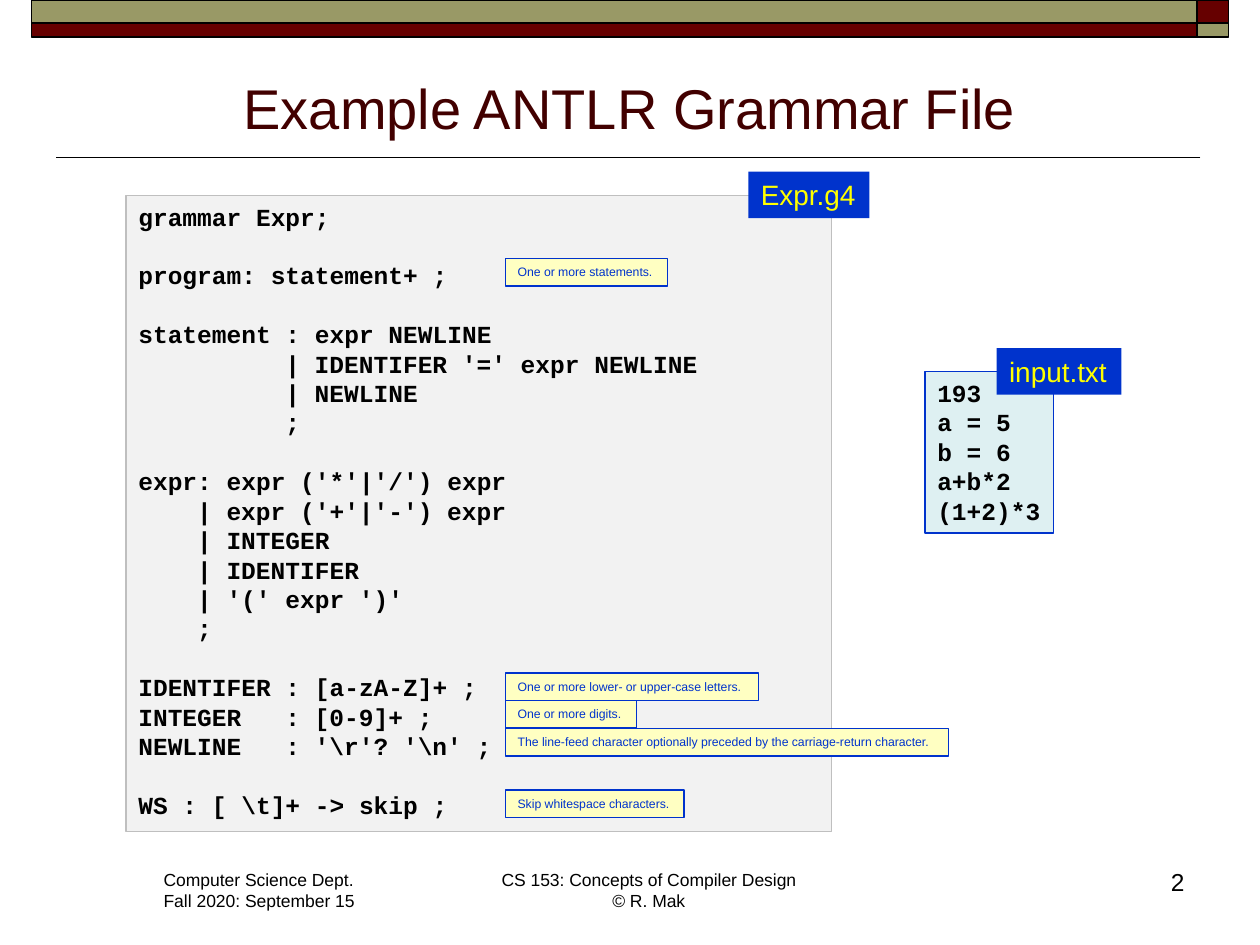
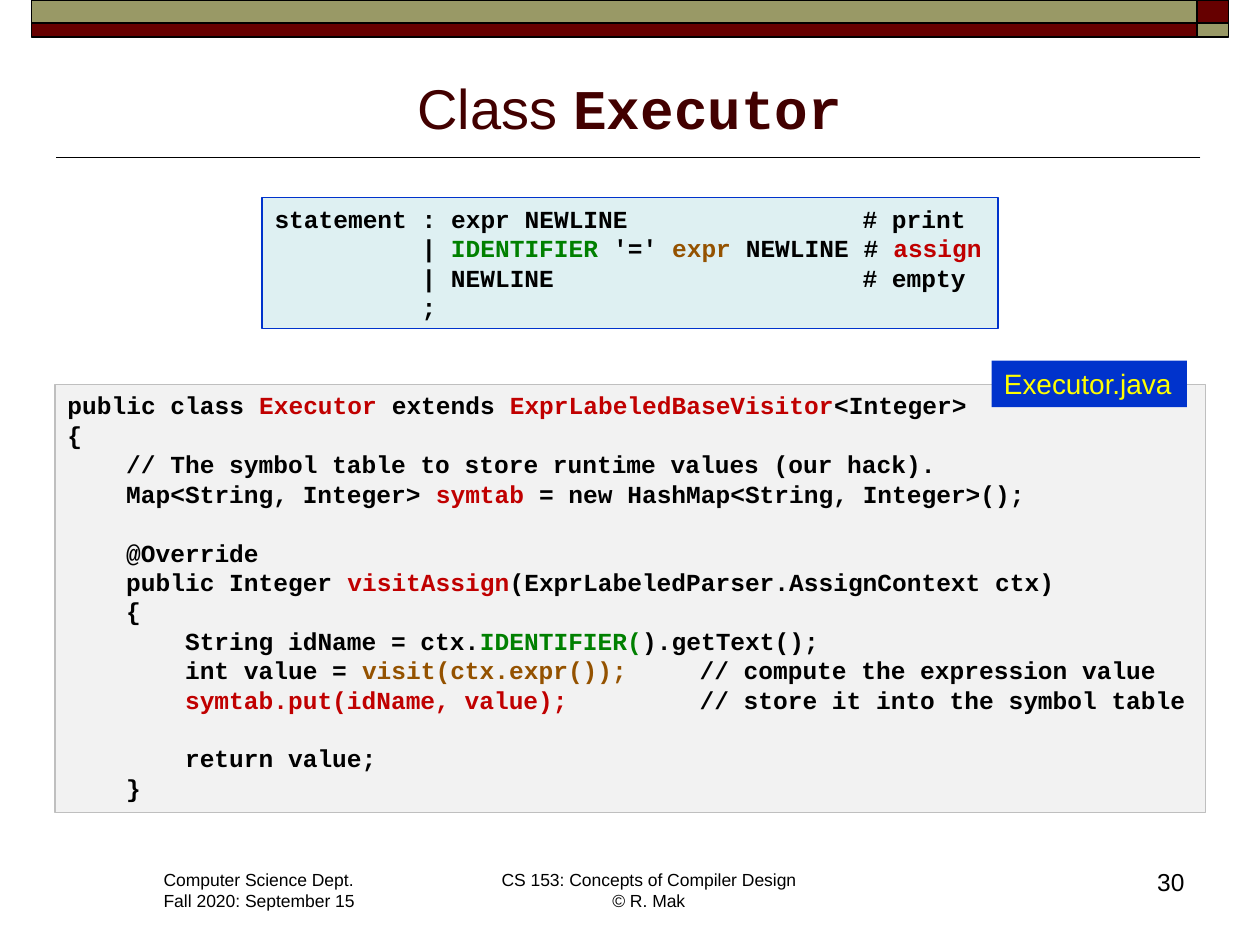
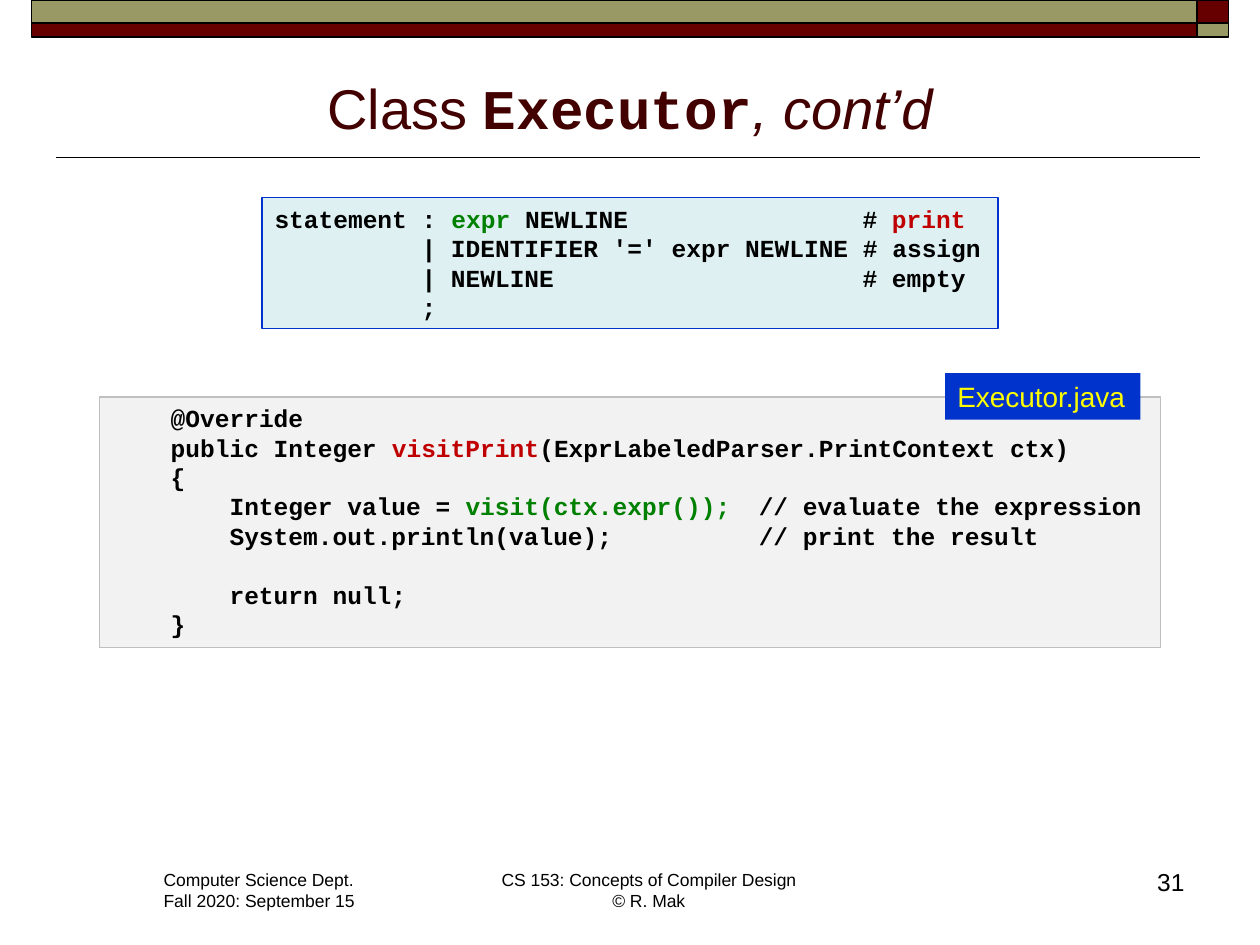
from dataclasses import dataclass
from itertools import groupby

from lxml.etree import SubElement
from pptx import Presentation
from pptx.dml.color import RGBColor
from pptx.enum.shapes import MSO_CONNECTOR, MSO_SHAPE
from pptx.enum.text import MSO_ANCHOR, MSO_AUTO_SIZE, PP_ALIGN
from pptx.oxml.ns import qn
from pptx.util import Pt


@dataclass(frozen=True)
class Style:
    size: float
    color: str
    font: str = "Arial"
    bold: bool = False
    fill: str = ""
    line: str = ""


class Theme:
    black = "000000"
    maroon = "660000"
    olive = "999966"
    sans = "Arial"
    mono = "Courier New"
    pitch = 1.2
    advance = 0.6
    title = Style(32, "420000")
    foot = Style(10, black)
    number = Style(14, black)
    code = Style(14, black, mono, True, "F2F2F2", "BFBFBF")
    rule = Style(14, black, mono, True, "DEF0F2", "0033CC")
    tag = Style(16, "FFFF00", fill="0033CC")
    note = Style(7, "0033CC", fill="FFFFC2", line="0033CC")
    marks = {"r": "C00000", "g": "008000", "b": "945200"}


GRAMMAR = r"""grammar Expr;

program: statement+ ;

statement : expr NEWLINE
          | IDENTIFER '=' expr NEWLINE
          | NEWLINE
          ;

expr: expr ('*'|'/') expr
    | expr ('+'|'-') expr
    | INTEGER
    | IDENTIFER
    | '(' expr ')'
    ;

IDENTIFER : [a-zA-Z]+ ;
INTEGER   : [0-9]+ ;
NEWLINE   : '\r'? '\n' ;

WS : [ \t]+ -> skip ;"""

INPUT = """193
a = 5
b = 6
a+b*2
(1+2)*3"""

ASSIGN_RULE = """statement : expr NEWLINE                # print
          | ~gIDENTIFIER~ '=' ~bexpr~ NEWLINE # ~rassign~
          | NEWLINE                     # empty
          ;"""

PRINT_RULE = """statement : ~gexpr~ NEWLINE                # ~rprint~
          | IDENTIFIER '=' expr NEWLINE # assign
          | NEWLINE                     # empty
          ;"""

ASSIGN_CODE = """public class ~rExecutor~ extends ~rExprLabeledBaseVisitor~<Integer>
{
    // The symbol table to store runtime values (our hack).
    Map<String, Integer> ~rsymtab~ = new HashMap<String, Integer>();

    @Override
    public Integer ~rvisitAssign~(ExprLabeledParser.AssignContext ctx)
    {
        String idName = ctx.~gIDENTIFIER(~).getText();
        int value = ~bvisit(ctx.expr());~     // compute the expression value
        ~rsymtab.put(idName, value);~         // store it into the symbol table

        return value;
    }"""

PRINT_CODE = """    @Override
    public Integer ~rvisitPrint~(ExprLabeledParser.PrintContext ctx)
    {
        Integer value = ~gvisit(ctx.expr());~  // evaluate the expression
        System.out.println(value);          // print the result

        return null;
    }"""

NOTES = [
    (147.6, 92.9, "One or more statements."),
    (384.5, 144.7, "One or more lower- or upper-case letters."),
    (400.3, 74.9, "One or more digits."),
    (416.2, 253.4, "The line-feed character optionally preceded by the "
                   "carriage-return character."),
    (451.4, 102.2, "Skip whitespace characters."),
]


def paint(run, style, color=""):
    run.font.name = style.font
    run.font.size = Pt(style.size)
    run.font.bold = style.bold
    run.font.color.rgb = RGBColor.from_string(color or style.color)


def add_rect(slide, area, fill, line="", width=0.75):
    rect = slide.shapes.add_shape(MSO_SHAPE.RECTANGLE, *map(Pt, area))
    rect.shadow.inherit = False
    rect.fill.solid()
    rect.fill.fore_color.rgb = RGBColor.from_string(fill)
    if line:
        rect.line.color.rgb = RGBColor.from_string(line)
        rect.line.width = Pt(width)
    else:
        rect.line.fill.background()
    return rect


def add_box(slide, area, style):
    if style.fill:
        box = add_rect(slide, area, style.fill, style.line)
    else:
        box = slide.shapes.add_textbox(*map(Pt, area))
    frame = box.text_frame
    frame.word_wrap = True
    frame.auto_size = MSO_AUTO_SIZE.NONE
    frame.vertical_anchor = MSO_ANCHOR.TOP
    return frame


def add_text(slide, area, text, style, align=PP_ALIGN.LEFT):
    frame = add_box(slide, area, style)
    if align == PP_ALIGN.LEFT:
        frame.margin_right = 0
    frame.text = text
    for para in frame.paragraphs:
        para.alignment = align
        para.line_spacing = Pt(style.size * Theme.pitch)
        for run in para.runs:
            paint(run, style)


def add_stops(para, cols, style):
    if cols:
        tabs = SubElement(para._p.get_or_add_pPr(), qn("a:tabLst"))
        for col in cols:
            place = Pt(col * style.size * Theme.advance)
            SubElement(tabs, qn("a:tab"), pos=str(place), algn="l")


def fill_line(para, line, style):
    col, cols = 0, []
    for index, part in enumerate(line.split("~")):
        color = ""
        if index % 2:
            color, part = Theme.marks[part[0]], part[1:]
        text = ""
        for blank, group in groupby(part, str.isspace):
            chunk = "".join(group)
            col += len(chunk)
            if blank and len(chunk) > 1:
                cols.append(col)
                chunk = "\t"
            text += chunk
        if text:
            run = para.add_run()
            run.text = text
            paint(run, style, color)
    add_stops(para, cols, style)


def add_code(slide, area, code, style):
    frame = add_box(slide, area, style)
    frame.margin_right = 0
    step = style.size * Theme.pitch
    para, gap = frame.paragraphs[0], 0
    for line in code.splitlines():
        if not line:
            gap += step
            continue
        if para.runs:
            para = frame.add_paragraph()
        para.alignment = PP_ALIGN.LEFT
        para.line_spacing = Pt(step)
        para.space_before = Pt(gap)
        fill_line(para, line, style)
        gap = 0


def add_file(slide, area, code, style, name, left, width):
    add_code(slide, area, code, style)
    add_text(slide, (left, area[1] - 13.5, width, 26.6), name, Theme.tag)


def add_bands(slide):
    left, split, right = 18, 684, 702
    tops = [(0, 13, Theme.olive, Theme.maroon),
            (13, 8, Theme.maroon, Theme.olive)]
    for top, height, main, end in tops:
        add_rect(slide, (left, top, split - left, height), main, Theme.black, 1)
        add_rect(slide, (split, top, right - split, height), end, Theme.black, 1)
    line = slide.shapes.add_connector(
        MSO_CONNECTOR.STRAIGHT, Pt(686), Pt(90), Pt(32), Pt(90))
    line.line.color.rgb = RGBColor.from_string(Theme.black)
    line.line.width = Pt(1)
    SubElement(line._element.spPr, qn("a:effectLst"))


def add_title(slide, parts):
    title = slide.shapes.title
    title.left, title.top, title.width, title.height = map(
        Pt, (36, 32.4, 648, 51.8))
    frame = title.text_frame
    frame.auto_size = MSO_AUTO_SIZE.NONE
    frame.vertical_anchor = MSO_ANCHOR.BOTTOM
    para = frame.paragraphs[0]
    para.alignment = PP_ALIGN.CENTER
    for text, kind in parts:
        run = para.add_run()
        run.text = text
        paint(run, Theme.title)
        if kind == "code":
            run.font.name = Theme.mono
            run.font.bold = True
        run.font.italic = kind == "slant"


def add_page(deck, number, *parts):
    slide = deck.slides.add_slide(deck.slide_layouts[5])
    add_bands(slide)
    add_title(slide, parts)
    add_text(slide, (86.4, 493.2, 123.8, 31.7),
             "Computer Science Dept.\nFall 2020: September 15", Theme.foot)
    add_text(slide, (278.6, 493.2, 184.3, 31.7),
             "CS 153: Concepts of Compiler Design\v© R. Mak",
             Theme.foot, PP_ALIGN.CENTER)
    add_text(slide, (633.6, 491.8, 50.4, 36), str(number),
             Theme.number, PP_ALIGN.RIGHT)
    return slide


def add_visit(slide, rule, code, area, left):
    add_code(slide, (149.8, 113, 420.5, 74.9), rule, Theme.rule)
    add_file(slide, area, code, Theme.code, "Executor.java", left, 111.6)


def main():
    deck = Presentation()
    deck.slide_width, deck.slide_height = Pt(720), Pt(540)

    page = add_page(deck, 2, ("Example ANTLR Grammar File", ""))
    add_file(page, (72, 111.6, 403.2, 363.6), GRAMMAR, Theme.code,
             "Expr.g4", 427.7, 69.1)
    add_file(page, (528.5, 212.4, 73.4, 92.2), INPUT, Theme.rule,
             "input.txt", 569.5, 71.3)
    for top, width, text in NOTES:
        add_text(page, (288.7, top, width, 15.8), text, Theme.note)

    head = [("Class ", ""), ("Executor", "code")]
    page = add_page(deck, 30, *head)
    add_visit(page, ASSIGN_RULE, ASSIGN_CODE,
              (31.5, 219.6, 657.4, 244.8), 566.6)

    page = add_page(deck, 31, *head, (", cont’d", "slant"))
    add_visit(page, PRINT_RULE, PRINT_CODE,
              (56.9, 226.8, 606.2, 143.3), 540)

    deck.save("out.pptx")


if __name__ == "__main__":
    main()
